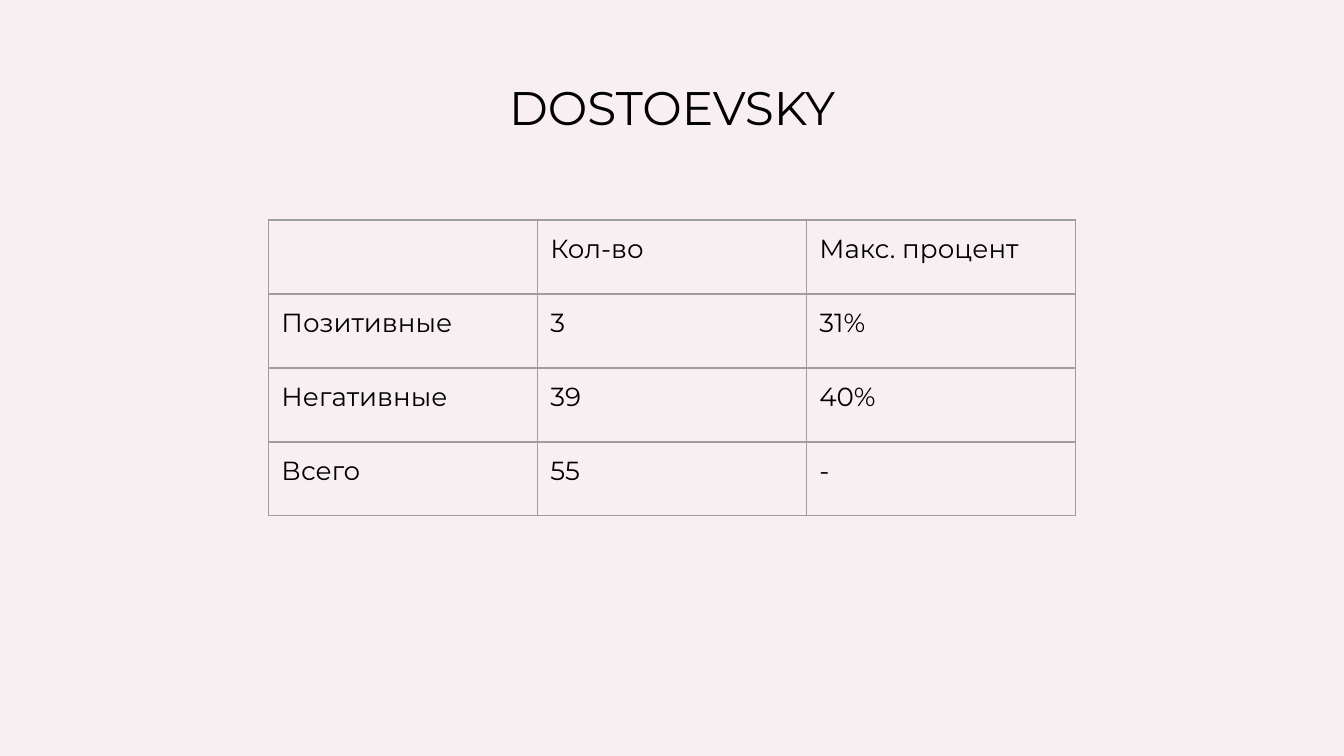
from lxml import etree
from pptx import Presentation
from pptx.dml.color import RGBColor
from pptx.enum.text import MSO_ANCHOR, PP_ALIGN
from pptx.oxml.ns import qn
from pptx.util import Pt

CENTER, LEFT = PP_ALIGN.CENTER, PP_ALIGN.LEFT
TOP = MSO_ANCHOR.TOP

# Content
TITLE = "DOSTOEVSKY"
ROWS = [
    ("", "Кол-во", "Макс. процент"),
    ("Позитивные", "3", "31%"),
    ("Негативные", "39", "40%"),
    ("Всего", "55", "-"),
]

# Style and layout in px
COLORS = {"background": "F8EFF3", "text": "000000", "border": "9E9E9E"}
FONT = "Montserrat"
SCALE = 914400 / 134.4
SLIDE_W, SLIDE_H = 1344, 756
TITLE_BOX = (46, 66, 1252, 85)
TABLE_TOP, COL_W, ROW_H = 220, 269, 74
INSET = 13
BORDER_W = Pt(0.75)


def px(n):
    return round(n * SCALE)


def write(tf, text, size, align=LEFT):
    p = tf.paragraphs[0]
    p.alignment = align
    p.font.size = Pt(size)
    if text:
        r = p.add_run()
        r.text = text
        r.font.size = Pt(size)
        r.font.name = FONT
        r.font.color.rgb = RGBColor.from_string(COLORS["text"])


def set_insets(box):
    box.margin_left = box.margin_right = px(INSET)
    box.margin_top = box.margin_bottom = px(INSET)
    box.vertical_anchor = TOP


def set_borders(cell):
    tcPr = cell._tc.get_or_add_tcPr()
    for i, side in enumerate(("lnL", "lnR", "lnT", "lnB")):
        ln = etree.Element(qn(f"a:{side}"), w=str(BORDER_W))
        fill = etree.SubElement(ln, qn("a:solidFill"))
        etree.SubElement(fill, qn("a:srgbClr"), val=COLORS["border"])
        tcPr.insert(i, ln)


prs = Presentation()
prs.slide_width, prs.slide_height = px(SLIDE_W), px(SLIDE_H)
s = prs.slides.add_slide(prs.slide_layouts[6])
s.background.fill.solid()
s.background.fill.fore_color.rgb = RGBColor.from_string(COLORS["background"])

# Title
tf = s.shapes.add_textbox(*map(px, TITLE_BOX)).text_frame
tf.word_wrap = True
set_insets(tf)
write(tf, TITLE, 25.2, align=CENTER)

# Table, centred across the slide
n_rows, n_cols = len(ROWS), len(ROWS[0])
table_w = n_cols * COL_W
table = s.shapes.add_table(n_rows, n_cols, px((SLIDE_W - table_w) / 2), px(TABLE_TOP),
                           px(table_w), px(n_rows * ROW_H)).table
table.first_row = table.horz_banding = False
for i, row in enumerate(ROWS):
    for j, text in enumerate(row):
        cell = table.cell(i, j)
        set_insets(cell)
        cell.fill.background()
        set_borders(cell)
        write(cell.text_frame, text, 14)

prs.save("out.pptx")
